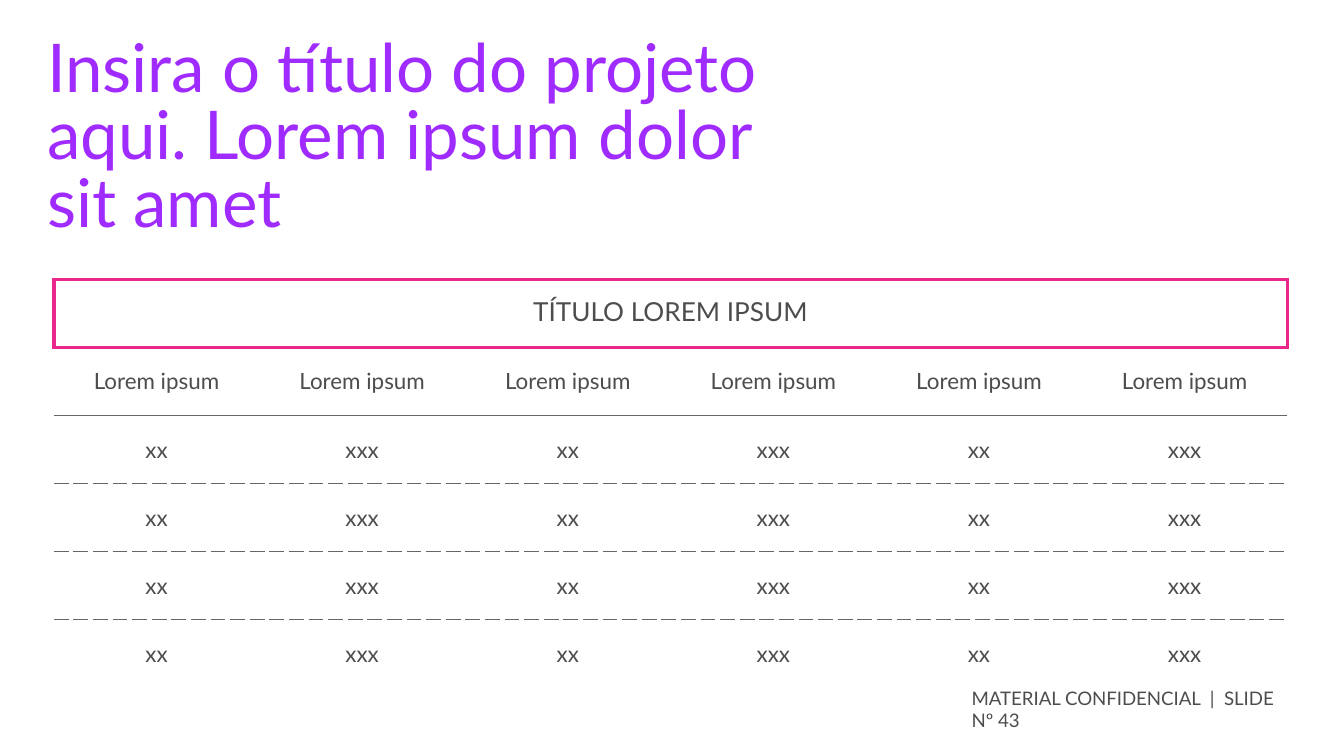
from dataclasses import dataclass

from lxml import etree
from pptx import Presentation
from pptx.dml.color import RGBColor
from pptx.enum.text import MSO_ANCHOR, PP_ALIGN
from pptx.oxml.ns import qn
from pptx.util import Inches, Pt

CENTER, LEFT = PP_ALIGN.CENTER, PP_ALIGN.LEFT
MIDDLE = MSO_ANCHOR.MIDDLE
SLIDE_W = 10
SLIDE_H = SLIDE_W * 9 / 16


@dataclass(frozen=True)
class Theme:
    font: str = "Lato"
    purple: str = "A02BFF"
    pink: str = "EA288C"
    grey: str = "4D4D4D"
    rule_grey: str = "666666"
    title: int = 36
    banner: int = 14
    body: int = 12
    footer: int = 10
    table_leading: int = 14
    frame: float = 2.25
    rule: float = 0.5


THEME = Theme()


def add_run(paragraph, text, size, color, align=LEFT, leading=None):
    paragraph.alignment = align
    if leading:
        paragraph.line_spacing = Pt(leading)
    run = paragraph.add_run()
    run.text = text
    run.font.name = THEME.font
    run.font.size = Pt(size)
    run.font.color.rgb = RGBColor.from_string(color)


def add_text(slide, box, text, size, color, leading=None):
    frame = slide.shapes.add_textbox(*(Inches(v) for v in box)).text_frame
    frame.word_wrap = True
    frame.margin_left = frame.margin_right = 0
    frame.margin_top = frame.margin_bottom = 0
    add_run(frame.paragraphs[0], text, size, color, leading=leading)


def set_borders(cell, borders):
    """Draw the four sides; a side with no entry in borders stays empty."""
    properties = cell._tc.get_or_add_tcPr()
    for position, side in enumerate("LRTB"):
        line = etree.Element(qn(f"a:ln{side}"))
        if side in borders:
            color, width, dash = borders[side]
            line.set("w", str(Pt(width)))
            fill = etree.SubElement(line, qn("a:solidFill"))
            etree.SubElement(fill, qn("a:srgbClr")).set("val", color)
            etree.SubElement(line, qn("a:prstDash")).set("val", dash)
        else:
            etree.SubElement(line, qn("a:noFill"))
        properties.insert(position, line)


def add_data_table(slide, box, banner, rows):
    left, top, width, height = (Inches(v) for v in box)
    row_count, column_count = len(rows) + 1, len(rows[0])
    table = slide.shapes.add_table(
        row_count, column_count, left, top, width, height).table
    table.first_row = table.horz_banding = False
    for column in table.columns:
        column.width = width // column_count
    for row in table.rows:
        row.height = height // row_count

    frame = (THEME.pink, THEME.frame, "solid")
    solid = (THEME.rule_grey, THEME.rule, "solid")
    dashed = (THEME.rule_grey, THEME.rule, "dash")
    # One rule below each row: banner frame, header, data; none under the last
    rules = [frame, solid] + [dashed] * (len(rows) - 2)

    banner_row = [banner] + [""] * (column_count - 1)
    for r, texts in enumerate([banner_row, *rows]):
        for c, text in enumerate(texts):
            cell = table.cell(r, c)
            cell.vertical_anchor = MIDDLE
            cell.fill.background()
            borders = dict.fromkeys("LRTB", frame) if r == 0 else {"T": rules[r - 1]}
            if 0 < r < len(rules):
                borders["B"] = rules[r]
            set_borders(cell, borders)
            if text:
                size = THEME.body if r else THEME.banner
                add_run(cell.text_frame.paragraphs[0], text, size, THEME.grey,
                        CENTER, THEME.table_leading)
    table.cell(0, 0).merge(table.cell(0, column_count - 1))


def build_slide(presentation):
    slide = presentation.slides.add_slide(presentation.slide_layouts[6])

    # Table: six columns by six rows, the first row spanning all columns
    headers = ["Lorem ipsum"] * 6
    values = ["xx", "xxx"] * 3
    add_data_table(slide, (0.4, 2.08, 6 * 1.53, 3.04),
                   "TÍTULO LOREM IPSUM", [headers] + [values] * 4)

    # Project title
    add_text(slide, (0.35, 0.29, 5.65, 2.13),
             "Insira o título do projeto aqui. Lorem ipsum dolor sit amet",
             THEME.title, THEME.purple, leading=THEME.title)

    # Footer
    add_text(slide, (7.23, 5.11, 2.33, 0.3),
             "MATERIAL CONFIDENCIAL  |  SLIDE Nº 43",
             THEME.footer, THEME.grey)


def main():
    presentation = Presentation()
    presentation.slide_width = Inches(SLIDE_W)
    presentation.slide_height = Inches(SLIDE_H)
    build_slide(presentation)
    presentation.save("out.pptx")


if __name__ == "__main__":
    main()
